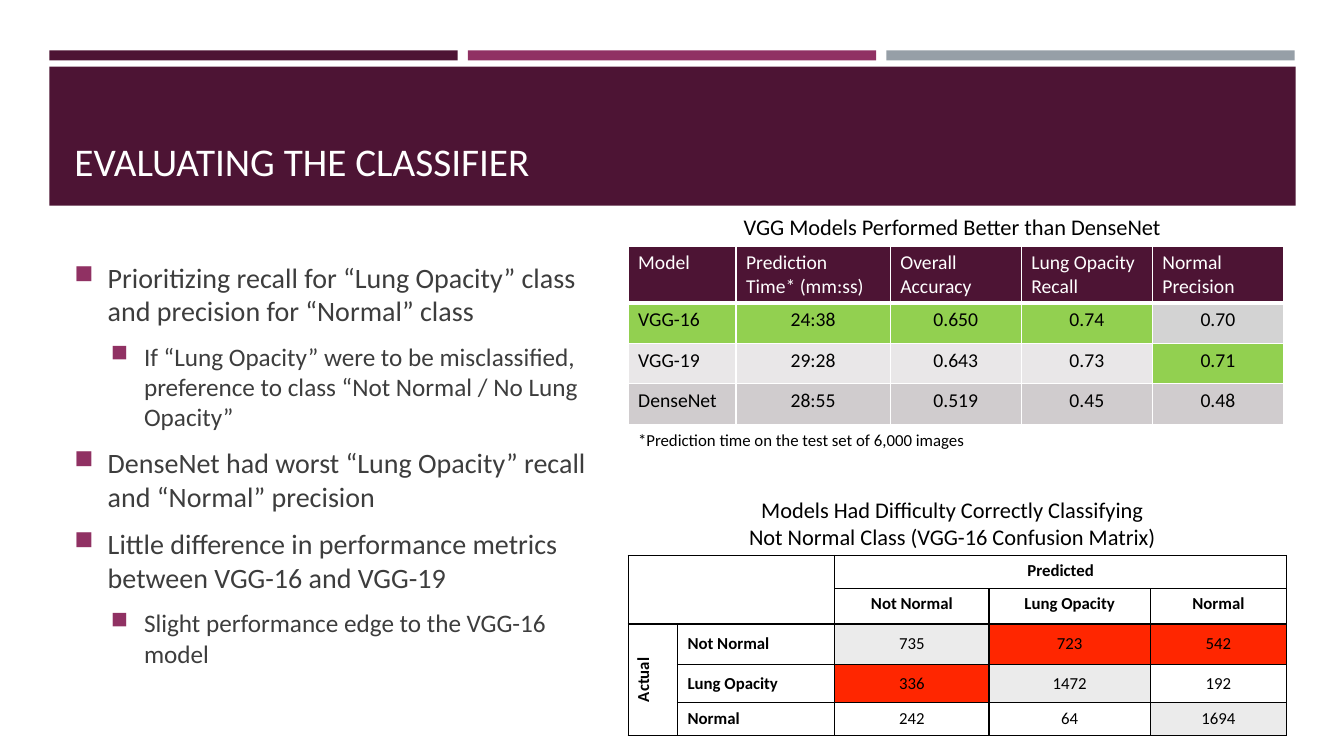
"""Build the slide that compares chest X-ray classifiers."""
from lxml import etree
from pptx import Presentation
from pptx import util as u
from pptx.dml.color import RGBColor
from pptx.enum import shapes, text
from pptx.oxml.ns import qn

COLORS = {
    "plum": "4D1434", "berry": "903163", "steel": "969FA7", "white": "FFFFFF",
    "black": "000000", "body": "3D3D3D", "best": "92D050", "near": "D3D3D3",
    "light": "E9E7E8", "dark": "D0CCCE", "hit": "EBEBEB", "miss": "FF2600",
}
FONT = "Calibri"
MISS_ALPHA = 60

TITLE = "EVALUATING THE CLASSIFIER"
POINTS = [
    (0, "Prioritizing recall for “Lung Opacity” class and precision for “Normal” class"),
    (1, "If “Lung Opacity” were to be misclassified, preference to class “Not Normal / No Lung Opacity”"),
    (0, "DenseNet had worst “Lung Opacity” recall and “Normal” precision"),
    (0, "Little difference in performance metrics between VGG-16 and VGG-19"),
    (1, "Slight performance edge to the VGG-16 model"),
]
CAPTIONS = [
    ((7.19, 2.07, 4.51, 0.37), 16, "center", ["VGG Models Performed Better than DenseNet"]),
    ((6.23, 4.21, 3.47, 0.3), 12, "left", ["*Prediction time on the test set of 6,000 images"]),
    ((7.19, 4.87, 4.51, 0.64), 16, "center",
     ["Models Had Difficulty Correctly Classifying", "Not Normal Class (VGG-16 Confusion Matrix)"]),
]
MODELS = [
    ["Model", "Prediction Time* (mm:ss)", "Overall Accuracy", "Lung Opacity Recall", "Normal Precision"],
    ["VGG-16", "24:38", "0.650", "0.74", "0.70"],
    ["VGG-19", "29:28", "0.643", "0.73", "0.71"],
    ["DenseNet", "28:55", "0.519", "0.45", "0.48"],
]
MODEL_FILLS = [["plum"] * 5, ["best"] * 4 + ["near"], ["light"] * 4 + ["best"], ["dark"] * 5]
MODEL_COLS, MODEL_ROWS = [1.07, 1.53, 1.3, 1.3, 1.3], [0.56, 0.4, 0.4, 0.4]
CONFUSION = [
    ["", "", "Predicted", "", ""],
    ["", "", "Not Normal", "Lung Opacity", "Normal"],
    ["Actual", "Not Normal", "735", "723", "542"],
    ["", "Lung Opacity", "336", "1472", "192"],
    ["", "Normal", "242", "64", "1694"],
]
MISSES = {"723", "542", "336"}
CONFUSION_COLS, CONFUSION_ROWS = [0.49, 1.56, 1.53, 1.6, 1.35], [0.33, 0.35, 0.4, 0.38, 0.33]
TABLE_LEFT = 6.23
ALIGN = {"left": text.PP_ALIGN.LEFT, "center": text.PP_ALIGN.CENTER}
ANCHOR = text.MSO_ANCHOR


def rgb(name):
    return RGBColor.from_string(COLORS[name])


def style(paragraph, size, color, align="left", bold=False):
    paragraph.alignment = ALIGN[align]
    for run in paragraph.runs:
        run.font.name, run.font.size, run.font.bold = FONT, u.Pt(size), bold
        run.font.color.rgb = rgb(color)


def add_bar(slide, box, color):
    bar = slide.shapes.add_shape(shapes.MSO_SHAPE.RECTANGLE, *map(u.Inches, box))
    bar.shadow.inherit = False
    bar.fill.solid()
    bar.fill.fore_color.rgb = rgb(color)
    bar.line.fill.background()


def add_text(slide, box, lines, size, color, align="left", anchor=ANCHOR.TOP, wrap=True):
    frame = slide.shapes.add_textbox(*map(u.Inches, box)).text_frame
    frame.word_wrap, frame.vertical_anchor = wrap, anchor
    frame.text = "\n".join(lines)
    for paragraph in frame.paragraphs:
        style(paragraph, size, color, align)
    return frame


def add_bullet(paragraph, level):
    paragraph.level = level
    props = paragraph._p.get_or_add_pPr()
    props.set("marL", str(u.Inches(0.33 + 0.36 * level)))
    props.set("indent", str(u.Inches(-0.33)))
    color = etree.SubElement(props, qn("a:buClr"))
    etree.SubElement(color, qn("a:srgbClr"), val=COLORS["berry"])
    etree.SubElement(props, qn("a:buSzPct"), val="92000")
    etree.SubElement(props, qn("a:buChar"), char="■")


def set_borders(cell, color, widths):
    props = cell._tc.get_or_add_tcPr()
    for side in "LRTB":
        width = widths.get(side, 1)
        line = etree.SubElement(props, qn("a:ln" + side), w=str(u.Pt(width)))
        if width:
            fill = etree.SubElement(line, qn("a:solidFill"))
            etree.SubElement(fill, qn("a:srgbClr"), val=COLORS[color])
        else:
            etree.SubElement(line, qn("a:noFill"))


def fill_cell(cell, color):
    if color is None:
        cell.fill.background()
        return
    cell.fill.solid()
    cell.fill.fore_color.rgb = rgb(color)
    if color == "miss":
        shade = cell._tc.tcPr.find(".//" + qn("a:srgbClr"))
        etree.SubElement(shade, qn("a:alpha"), val=str(MISS_ALPHA * 1000))


def add_table(slide, top, cols, rows):
    box = (TABLE_LEFT, top, sum(cols), sum(rows))
    table = slide.shapes.add_table(len(rows), len(cols), *map(u.Inches, box)).table
    for column, width in zip(table.columns, cols):
        column.width = u.Inches(width)
    for row, height in zip(table.rows, rows):
        row.height = u.Inches(height)
    return table


def add_models(slide):
    table = add_table(slide, 2.44, MODEL_COLS, MODEL_ROWS)
    for r, row in enumerate(MODELS):
        for c, value in enumerate(row):
            cell = table.cell(r, c)
            cell.text = value
            style(cell.text_frame.paragraphs[0], 14, "black" if r else "white",
                  "center" if r and c else "left")
            set_borders(cell, "white", {0: {"B": 3}, 1: {"T": 3}}.get(r, {}))
            fill_cell(cell, MODEL_FILLS[r][c])


def add_confusion(slide):
    table = add_table(slide, 5.51, CONFUSION_COLS, CONFUSION_ROWS)
    table.cell(0, 2).merge(table.cell(0, 4))
    table.cell(2, 0).merge(table.cell(4, 0))
    for r, row in enumerate(CONFUSION):
        for c, value in enumerate(row):
            cell = table.cell(r, c)
            cell.text = value
            paragraph = cell.text_frame.paragraphs[0]
            style(paragraph, 12, "black", "left" if c == 1 else "center", not value.isdigit())
            if not value:
                etree.SubElement(paragraph._p, qn("a:endParaRPr"), sz="1200")
            corner = r < 2 and c < 2
            inner = {"B" if r == 0 else "T": 0, "R" if c == 0 else "L": 0}
            set_borders(cell, "black", inner if corner else {})
            diagonal = r > 1 and r == c
            fill_cell(cell, "miss" if value in MISSES else "hit" if diagonal else None)
            if r > 1:
                cell.vertical_anchor = ANCHOR.MIDDLE
    table.cell(2, 0)._tc.tcPr.set("vert", "vert270")


def main():
    deck = Presentation()
    deck.slide_width, deck.slide_height = u.Inches(13.33), u.Inches(7.5)
    slide = deck.slides.add_slide(deck.slide_layouts[6])
    for i, color in enumerate(["plum", "berry", "steel"]):
        add_bar(slide, (0.49 + 4.15 * i, 0.5, 4.05, 0.1), color)
    add_bar(slide, (0.49, 0.66, 12.36, 1.38), "plum")
    add_text(slide, (0.64, 0.8, 12.06, 1.08), [TITLE], 28, "white", anchor=ANCHOR.BOTTOM)

    points = add_text(slide, (0.64, 2.44, 5.31, 4.33), [line for _, line in POINTS],
                      20, "body", anchor=ANCHOR.MIDDLE)
    for i, (paragraph, (level, _)) in enumerate(zip(points.paragraphs, POINTS)):
        size = 20 - 2 * level
        add_bullet(paragraph, level)
        style(paragraph, size, "body")
        paragraph.space_after = u.Pt(6)
        if i:
            paragraph.space_before = u.Pt(size * 0.2)

    add_models(slide)
    add_confusion(slide)
    for box, size, align, lines in CAPTIONS:
        add_text(slide, box, lines, size, "black", align, wrap=False)
    deck.save("out.pptx")


if __name__ == "__main__":
    main()
